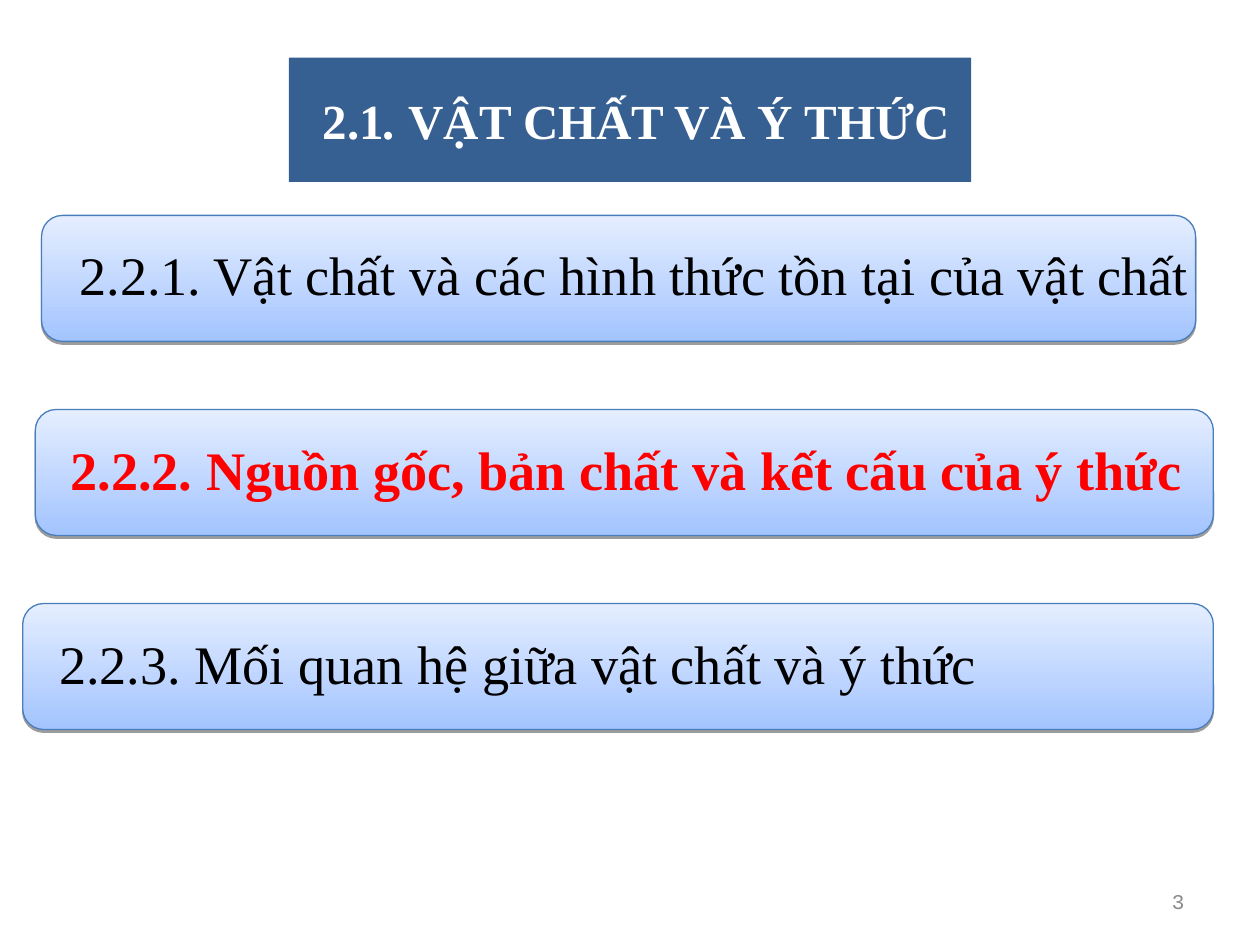
from dataclasses import dataclass

from lxml.etree import SubElement
from pptx import Presentation
from pptx.dml.color import RGBColor
from pptx.enum.shapes import MSO_SHAPE
from pptx.enum.text import MSO_ANCHOR, MSO_AUTO_SIZE, PP_ALIGN
from pptx.oxml.ns import qn
from pptx.shapes.autoshape import Shape
from pptx.slide import Slide
from pptx.text.text import TextFrame, _Paragraph
from pptx.util import Pt


@dataclass(frozen=True)
class Theme:
    banner: RGBColor = RGBColor(0x37, 0x60, 0x92)
    banner_text: RGBColor = RGBColor(0xFF, 0xFF, 0xFF)
    bar_bottom: RGBColor = RGBColor(0xA3, 0xC4, 0xFF)
    bar_top: RGBColor = RGBColor(0xE5, 0xEE, 0xFF)
    bar_line: RGBColor = RGBColor(0x4A, 0x7E, 0xBB)
    text: RGBColor = RGBColor(0, 0, 0)
    current: RGBColor = RGBColor(0xFF, 0, 0)
    muted: RGBColor = RGBColor(0x89, 0x89, 0x89)
    font: str = "Times New Roman"
    number_font: str = "Courier New"
    title_size: float = 28
    section_size: float = 31
    number_size: float = 12


@dataclass(frozen=True)
class Section:
    heading: str
    bar_left: float
    bar_width: float
    text_left: float
    text_width: float
    current: bool = False


THEME = Theme()
FIRST_TOP, PITCH, BAR_HEIGHT = 123.12, 110.88, 72
TEXT_INSET, TEXT_HEIGHT = 3.6, 64.8

SECTIONS = [
    Section("2.2.1. Vật chất và các hình thức tồn tại của vật chất",
            23.76, 659.52, 28.8, 676.08),
    Section("2.2.2. Nguồn gốc, bản chất và kết cấu của ý thức",
            20.16, 673.2, 23.76, 673.2, current=True),
    Section("2.2.3. Mối quan hệ giữa vật chất và ý thức",
            12.96, 680.4, 17.28, 672.48),
]


def add_run(paragraph: _Paragraph, text: str, size: float, color: RGBColor,
            bold: bool = False, italic: bool = False, font: str = THEME.font) -> None:
    run = paragraph.add_run()
    run.text = text
    run.font.name = font
    run.font.size = Pt(size)
    run.font.bold = bold
    run.font.italic = italic
    run.font.color.rgb = color


def set_frame(frame: TextFrame, side: float, vertical: float) -> None:
    frame.word_wrap = True
    frame.auto_size = MSO_AUTO_SIZE.NONE
    frame.vertical_anchor = MSO_ANCHOR.MIDDLE
    frame.margin_left = frame.margin_right = Pt(side)
    frame.margin_top = frame.margin_bottom = Pt(vertical)


def add_drop_shadow(shape: Shape) -> None:
    shape.shadow.inherit = False
    effects = shape._element.spPr.find(qn("a:effectLst"))
    shadow = SubElement(effects, qn("a:outerShdw"), blurRad="0",
                        dist=str(Pt(1.6)), dir="5400000", rotWithShape="0")
    black = SubElement(shadow, qn("a:srgbClr"), val="000000")
    SubElement(black, qn("a:alpha"), val="38000")


def add_title(slide: Slide) -> None:
    title = slide.shapes.title
    title.left, title.top = Pt(165), Pt(33)
    title.width, title.height = Pt(390), Pt(71)
    title.fill.solid()
    title.fill.fore_color.rgb = THEME.banner
    set_frame(title.text_frame, 7.2, 3.6)
    paragraph = title.text_frame.paragraphs[0]
    paragraph.alignment = PP_ALIGN.CENTER
    for text, italic in ((" 2.1", False), (". ", True), ("VẬT CHẤT VÀ Ý THỨC", False)):
        add_run(paragraph, text, THEME.title_size, THEME.banner_text, True, italic)


def add_section(slide: Slide, section: Section, top: float) -> None:
    group = slide.shapes.add_group_shape()

    # Gradient bar
    bar = group.shapes.add_shape(MSO_SHAPE.ROUNDED_RECTANGLE, Pt(section.bar_left),
                                 Pt(top), Pt(section.bar_width), Pt(BAR_HEIGHT))
    bar.fill.gradient()
    bar.fill.gradient_angle = 90
    for stop, color in zip(bar.fill.gradient_stops, (THEME.bar_bottom, THEME.bar_top)):
        stop.color.rgb = color
    bar.line.color.rgb = THEME.bar_line
    bar.line.width = Pt(0.75)
    add_drop_shadow(bar)

    # Heading
    heading = group.shapes.add_textbox(Pt(section.text_left), Pt(top + TEXT_INSET),
                                       Pt(section.text_width), Pt(TEXT_HEIGHT))
    set_frame(heading.text_frame, 16.56, 0)
    paragraph = heading.text_frame.paragraphs[0]
    paragraph.line_spacing = 0.9
    paragraph.space_after = Pt(13.5)
    color = THEME.current if section.current else THEME.text
    add_run(paragraph, section.heading, THEME.section_size, color, section.current)


def add_slide_number(slide: Slide) -> None:
    number = slide.shapes.add_textbox(Pt(516), Pt(500.4), Pt(168), Pt(28.8))
    set_frame(number.text_frame, 7.2, 3.6)
    paragraph = number.text_frame.paragraphs[0]
    paragraph.alignment = PP_ALIGN.RIGHT
    add_run(paragraph, "3", THEME.number_size, THEME.muted, font=THEME.number_font)


def main() -> None:
    presentation = Presentation()
    presentation.slide_width, presentation.slide_height = Pt(720), Pt(540)
    slide = presentation.slides.add_slide(presentation.slide_layouts[5])
    add_title(slide)
    for index, section in enumerate(SECTIONS):
        add_section(slide, section, FIRST_TOP + index * PITCH)
    add_slide_number(slide)
    presentation.save("out.pptx")


if __name__ == "__main__":
    main()
